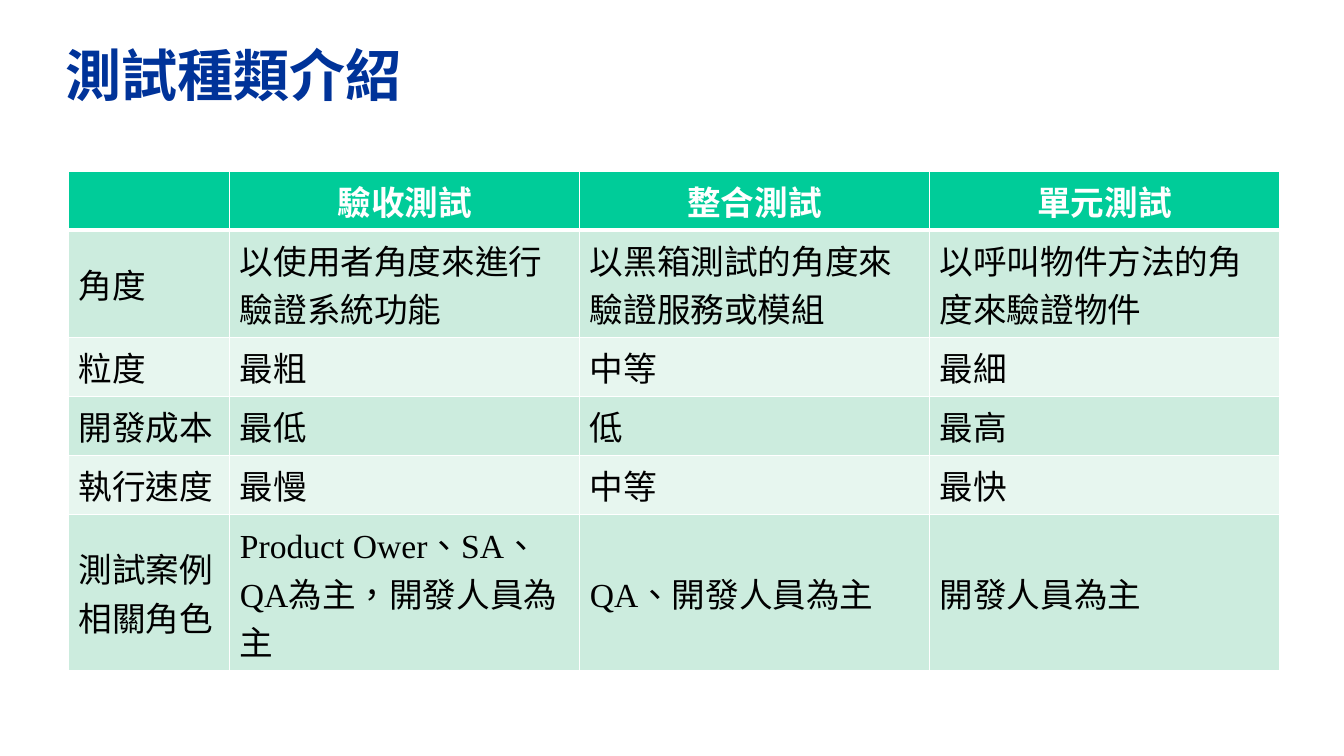
from lxml.etree import SubElement
from pptx import Presentation
from pptx.dml.color import RGBColor
from pptx.enum.text import MSO_ANCHOR, PP_ALIGN
from pptx.oxml.ns import qn
from pptx.util import Inches, Pt

HEADERS = ["", "驗收測試", "整合測試", "單元測試"]
ROWS = [
    ["角度", "以使用者角度來進行驗證系統功能", "以黑箱測試的角度來驗證服務或模組",
     "以呼叫物件方法的角度來驗證物件"],
    ["粒度", "最粗", "中等", "最細"],
    ["開發成本", "最低", "低", "最高"],
    ["執行速度", "最慢", "中等", "最快"],
    ["測試案例相關角色", "Product Ower、SA、QA為主\uff0c開發人員為主",
     "QA、開發人員為主", "開發人員為主"],
]
COLUMN_WIDTHS = [1.6, 3.47, 3.47, 3.47]
ROW_HEIGHTS = [0.58, 1.06, 0.58, 0.58, 0.58, 1.55]


def color(value):
    """Turn a hex string into a colour."""
    return RGBColor.from_string(value)


class SlideBuilder:
    """Holds the style and the current slide."""

    latin = "Times New Roman"
    east_asian = "Noto Sans CJK TC"
    title_color = "003399"
    header_fill = "00CC99"
    band_fills = ["CCECDE", "E7F6EF"]
    white = "FFFFFF"
    black = "000000"

    def __init__(self, deck):
        """Add a page that has only a title placeholder."""
        self.page = deck.slides.add_slide(deck.slide_layouts[5])

    def add_text(self, frame, text, size, ink, bold=False, align=PP_ALIGN.LEFT):
        """Put one formatted paragraph in a text frame."""
        para = frame.paragraphs[0]
        para.alignment = align
        span = para.add_run()
        span.text = text
        formats = {"size": Pt(size), "bold": bold, "name": self.latin}
        for name, value in formats.items():
            setattr(span.font, name, value)
        span.font.color.rgb = color(ink)
        properties = span._r.get_or_add_rPr()
        properties.set("lang", "zh-TW")
        SubElement(properties, qn("a:ea"), typeface=self.east_asian)

    def title(self, text, left, top, width, height):
        """Place and fill the title placeholder."""
        box = self.page.shapes.title
        places = {"left": left, "top": top, "width": width, "height": height}
        for name, value in places.items():
            setattr(box, name, Inches(value))
        box.text_frame.vertical_anchor = MSO_ANCHOR.MIDDLE
        self.add_text(box.text_frame, text, 40, self.title_color, bold=True)

    def borders(self, cell, widths):
        """Draw white cell borders, with a width in points for each side."""
        properties = cell._tc.get_or_add_tcPr()
        for index, (side, width) in enumerate(widths.items()):
            line = SubElement(properties, qn("a:ln" + side), w=str(Pt(width)))
            fill = SubElement(line, qn("a:solidFill"))
            SubElement(fill, qn("a:srgbClr"), val=self.white)
            properties.insert(index, line)

    def table(self, rows, left, top, widths, heights):
        """Add a table with a header row and banded body rows."""
        frame = self.page.shapes.add_table(
            len(rows), len(widths), Inches(left), Inches(top),
            Inches(sum(widths)), Inches(sum(heights)))
        grid = frame.table
        for column, width in zip(grid.columns, widths):
            column.width = Inches(width)
        for row, height in zip(grid.rows, heights):
            row.height = Inches(height)
        for row_index, texts in enumerate(rows):
            header = row_index == 0
            fill = self.header_fill if header else self.band_fills[(row_index - 1) % 2]
            sides = {"L": 1, "R": 1, "T": 3 if row_index == 1 else 1,
                     "B": 3 if header else 1}
            for column_index, text in enumerate(texts):
                cell = grid.cell(row_index, column_index)
                cell.vertical_anchor = MSO_ANCHOR.MIDDLE
                cell.fill.solid()
                cell.fill.fore_color.rgb = color(fill)
                self.borders(cell, sides)
                if text:
                    self.add_text(cell.text_frame, text, 24,
                                  self.white if header else self.black, bold=header,
                                  align=PP_ALIGN.CENTER if header else PP_ALIGN.LEFT)


def main():
    """Build and save the deck."""
    deck = Presentation()
    deck.slide_width, deck.slide_height = Inches(13.33), Inches(7.5)
    slide = SlideBuilder(deck)
    slide.title("測試種類介紹", 0.55, 0.36, 10.25, 0.75)
    slide.table([HEADERS] + ROWS, 0.68, 1.7, COLUMN_WIDTHS, ROW_HEIGHTS)
    deck.save("out.pptx")


main()
